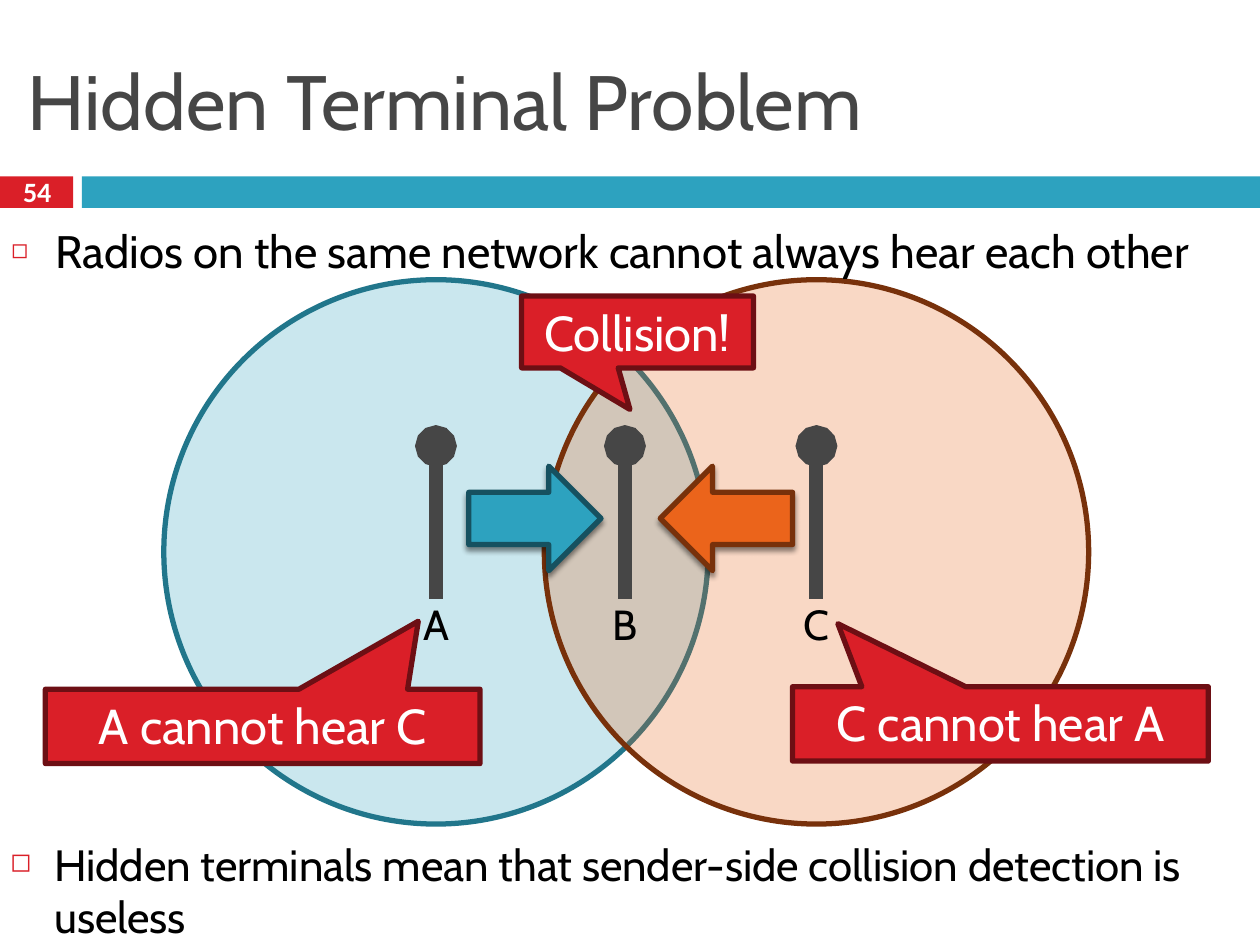
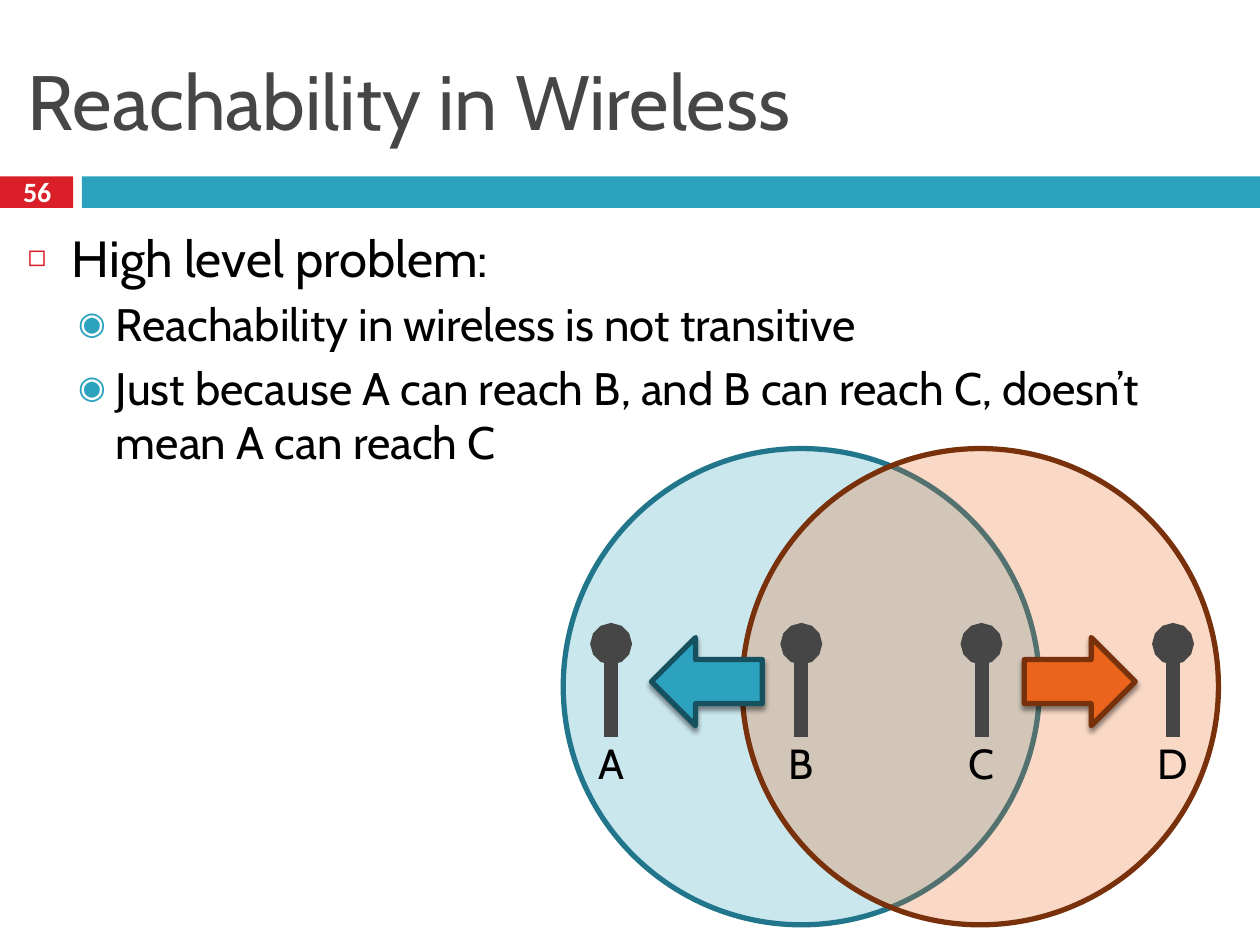
from lxml import etree
from pptx import Presentation
from pptx import util as u
from pptx.dml.color import RGBColor
from pptx.enum import shapes, text
from pptx.oxml.ns import qn

# The slide is a grid of 10 columns and 7.5 rows, one inch each
COLUMNS, ROWS = 10, 7.5
FONT, NUMBER_FONT = "Cabin", "Calibri"
RED, TEAL, ORANGE = "DA1F28", "2DA2BF", "EB641B"
GREY, BLACK, WHITE = "464646", "000000", "FFFFFF"
DARK_RED, DARK_TEAL, RANGE_TEAL, DARK_ORANGE = "6D0F14", "165160", "21768B", "78310B"
INSET = 0.05
BAND_TOP, BAND_HEIGHT = 1.4, 0.25
# Per list level: indent, hanging, space before, bullet, its colour and size
LEVELS = [(0.35, 0.35, 7, "◻", RED, 60), (0.7, 0.3, 5, "◉", TEAL, 70)]


def color(code):
    return RGBColor.from_string(code)


def cells(*counts):
    return [u.Inches(count) for count in counts]


def add_xml(parent, tag, **attributes):
    return etree.SubElement(parent, qn(tag), {k: str(v) for k, v in attributes.items()})


def style_para(para, size, code=BLACK, font=FONT, align=None):
    para.font.size, para.font.name = u.Pt(size), font
    para.font.color.rgb = color(code)
    para.alignment = align


def set_frame(box, wrap=True, anchor=text.MSO_ANCHOR.TOP):
    frame = box.text_frame
    frame.auto_size = text.MSO_AUTO_SIZE.NONE
    frame.word_wrap, frame.vertical_anchor = wrap, anchor
    frame.margin_left = frame.margin_right = u.Inches(INSET)
    frame.margin_top = frame.margin_bottom = u.Inches(INSET)
    return frame


def add_form(page, kind, area, fill, line=None):
    form = page.shapes.add_shape(kind, *cells(*area))
    form.shadow.inherit = False
    form.fill.solid()
    form.fill.fore_color.rgb = color(fill)
    if line:
        form.line.color.rgb, form.line.width = color(line), u.Pt(3)
    else:
        form.line.fill.background()
    return form


def add_label(page, area, words, size, code=BLACK, font=FONT, anchor=text.MSO_ANCHOR.TOP):
    box = page.shapes.add_textbox(*cells(*area))
    para = set_frame(box, False, anchor).paragraphs[0]
    para.text = words
    style_para(para, size, code, font, text.PP_ALIGN.CENTER)
    return para


def fill_list(box, items):
    """Items are (words, level, size)."""
    frame = set_frame(box)
    for index, (words, level, size) in enumerate(items):
        para = frame.add_paragraph() if index else frame.paragraphs[0]
        para.text, para.level = words, level
        style_para(para, size)
        indent, hanging, before, bullet, code, share = LEVELS[level]
        para.space_before = u.Pt(before)
        props = para._p.get_or_add_pPr()
        props.set("marL", str(u.Inches(indent)))
        props.set("indent", str(-u.Inches(hanging)))
        add_xml(add_xml(props, "a:buClr"), "a:srgbClr", val=code)
        add_xml(props, "a:buSzPct", val=share * 1000)
        add_xml(props, "a:buChar", char=bullet)


def add_range(page, left, top, size, fill, line):
    circle = add_form(page, shapes.MSO_SHAPE.OVAL, (left, top, size, size), fill, line)
    add_xml(circle.element.spPr.find(".//" + qn("a:srgbClr")), "a:alpha", val=25000)


def add_terminal(page, name, x, top, bottom):
    mast = page.shapes.add_connector(shapes.MSO_CONNECTOR.STRAIGHT, *cells(x, top, x, bottom))
    mast.line.color.rgb, mast.line.width = color(GREY), u.Pt(8)
    add_xml(mast.line._get_or_add_ln(), "a:headEnd", type="oval")
    add_xml(mast.element.spPr, "a:effectLst")
    add_label(page, (x - 0.16, bottom - 0.05, 0.32, 0.48), name, 24)


def add_signal(page, kind, area, fill, line):
    arrow = add_form(page, kind, area, fill, line)
    effects = arrow.element.spPr.find(qn("a:effectLst"))
    shadow = add_xml(effects, "a:outerShdw", blurRad=u.Pt(3), dist=u.Pt(2.4),
                     dir=90 * 60000, rotWithShape=0)
    add_xml(add_xml(shadow, "a:srgbClr", val=BLACK), "a:alpha", val=45000)


def add_callout(page, words, area, tip):
    callout = add_form(page, shapes.MSO_SHAPE.RECTANGULAR_CALLOUT, area, RED, DARK_RED)
    left, top, width, height = area
    callout.adjustments[0] = (tip[0] - left) / width - 0.5
    callout.adjustments[1] = (tip[1] - top) / height - 0.5
    para = set_frame(callout).paragraphs[0]
    para.text = words
    style_para(para, 28, WHITE, align=text.PP_ALIGN.CENTER)


def add_bands(page):
    """Move the two bands to the layout, so that every page shows them."""
    for left, width, fill in ((0, 0.58, RED), (0.65, COLUMNS - 0.65, TEAL)):
        band = add_form(page, shapes.MSO_SHAPE.RECTANGLE,
                        (left, BAND_TOP, width, BAND_HEIGHT), fill)
        page.slide_layout.shapes.element.append(band.element)


def add_page(deck, heading, number, body_area, items):
    page = deck.slides.add_slide(deck.slide_layouts[1])
    title, body = page.placeholders
    for box, area in ((title, (0.17, 0.25, 9.67, 1.08)), (body, body_area)):
        box.left, box.top, box.width, box.height = cells(*area)
    para = set_frame(title, anchor=text.MSO_ANCHOR.MIDDLE).paragraphs[0]
    para.text = heading
    style_para(para, 44, GREY, align=text.PP_ALIGN.LEFT)
    fill_list(body, items)
    mark = add_label(page, (0.12, 1.37, 0.35, 0.35), number, 16, WHITE,
                     NUMBER_FONT, text.MSO_ANCHOR.MIDDLE)
    mark.font.bold, mark.line_spacing = True, 0.8
    return page


def add_network(page, ranges, size, top, masts, mast_span, signals):
    colors = ((TEAL, RANGE_TEAL), (ORANGE, DARK_ORANGE))
    for left, pair in zip(ranges, colors):
        add_range(page, left, top, size, *pair)
    for name, x in zip("ABCD", masts):
        add_terminal(page, name, x, *mast_span)
    for (kind, area), fill, line in zip(signals, (TEAL, ORANGE), (DARK_TEAL, DARK_ORANGE)):
        add_signal(page, kind, area, fill, line)


def main():
    deck = Presentation()
    deck.slide_width, deck.slide_height = cells(COLUMNS, ROWS)
    right, left = shapes.MSO_SHAPE.RIGHT_ARROW, shapes.MSO_SHAPE.LEFT_ARROW

    # Hidden terminals
    page = add_page(deck, "Hidden Terminal Problem", "54", (0.04, 1.72, 9.83, 0.66),
                    [("Radios on the same network cannot always hear each other", 0, 26)])
    add_bands(page)
    add_network(page, (1.3, 4.32), 4.32, 2.22, (3.46, 4.96, 6.48), (3.54, 4.75),
                ((right, (3.72, 3.7, 1.05, 0.83)), (left, (5.24, 3.7, 1.05, 0.83))))
    add_callout(page, "Collision!", (4.14, 2.35, 1.84, 0.57), (5, 3.25))
    add_callout(page, "A cannot hear C", (0.36, 5.47, 3.45, 0.59), (3.32, 4.93))
    add_callout(page, "C cannot hear A", (6.29, 5.45, 3.3, 0.59), (6.65, 4.95))
    # The list lies over the circles
    page.shapes.element.append(page.placeholders[1].element)
    conclusion = page.shapes.add_textbox(*cells(0.03, 6.6, 9.83, 0.86))
    fill_list(conclusion, [("Hidden terminals mean that sender-side collision "
                            "detection is useless", 0, 25)])

    # Reachability
    page = add_page(deck, "Reachability in Wireless", "56", (0.17, 1.75, 9.67, 5.58), [
        ("High level problem:", 0, 29),
        ("Reachability in wireless is not transitive", 1, 26),
        ("Just because A can reach B, and B can reach C, doesn’t mean A can reach C", 1, 26)])
    add_network(page, (4.47, 5.89), 3.78, 3.56, (4.85, 6.36, 7.79, 9.31), (5.11, 5.85),
                ((left, (5.17, 5.06, 0.88, 0.7)), (right, (8.13, 5.06, 0.88, 0.7))))

    deck.save("out.pptx")


if __name__ == "__main__":
    main()
